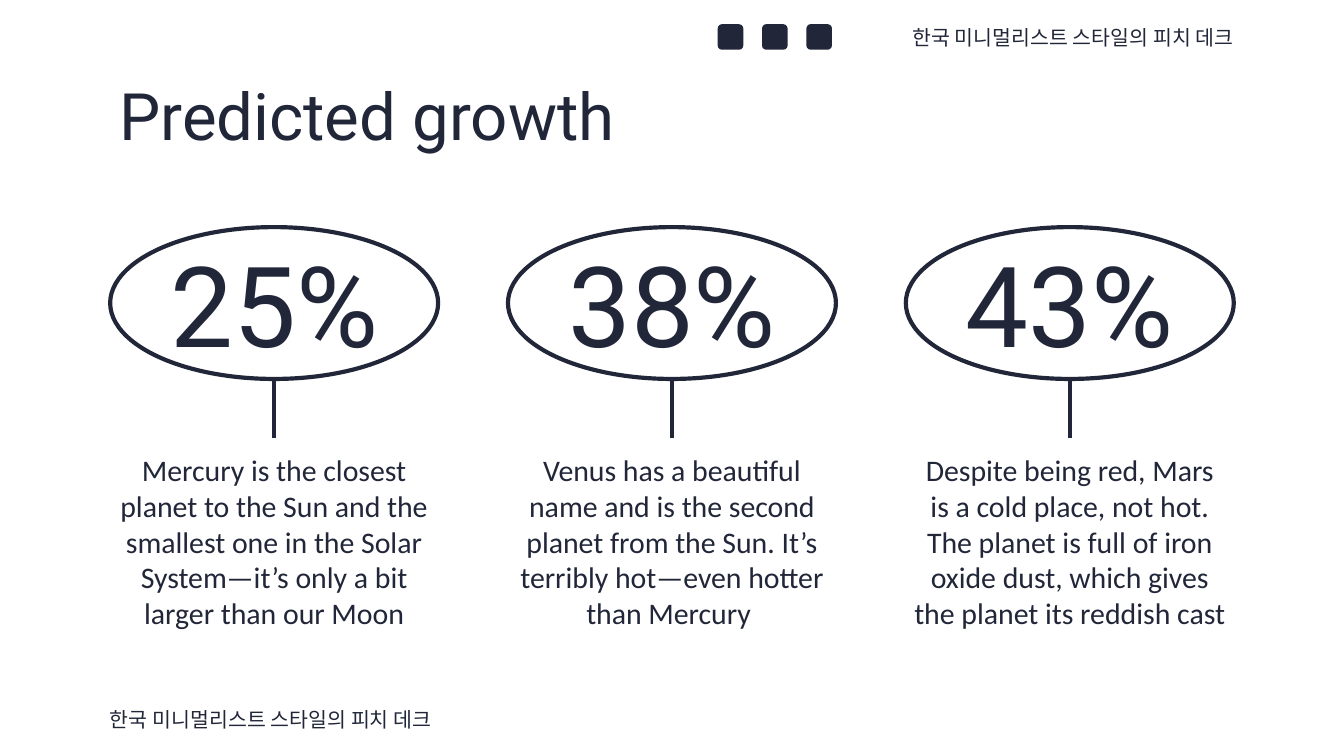
import pptx
import pptx.dml.color
import pptx.enum.shapes
import pptx.enum.text
import pptx.oxml
import pptx.oxml.ns
import pptx.util
from pptx.util import Inches

ALIGN = pptx.enum.text.PP_ALIGN
ANCHOR = pptx.enum.text.MSO_ANCHOR
SHAPE = pptx.enum.shapes.MSO_SHAPE

HEADING = "Predicted growth"
DECK_NAME = "한국 미니멀리스트 스타일의 피치 데크"
GROWTH = [
    ("25%", "Mercury is the closest planet to the Sun and the smallest one in "
            "the Solar System—it’s only a bit larger than our Moon"),
    ("38%", "Venus has a beautiful name and is the second planet from the Sun. "
            "It’s terribly hot—even hotter than Mercury "),
    ("43%", "Despite being red, Mars is a cold place, not hot. The planet is "
            "full of iron oxide dust, which gives the planet its reddish cast"),
]

THEME = {
    "ink": pptx.dml.color.RGBColor.from_string("212739"),
    "paper": pptx.dml.color.RGBColor.from_string("FFFFFF"),
    "line": pptx.util.Pt(2.25),
    "heading": {"name": "Roboto", "size": pptx.util.Pt(35)},
    "figure": {"name": "Roboto", "size": pptx.util.Pt(60)},
    "body": {"name": "Calibri", "size": pptx.util.Pt(16)},
    "label": {"name": "League Spartan", "size": pptx.util.Pt(11)},
}
FRAME = {
    "word_wrap": True,
    "margin_left": Inches(0.1),
    "margin_right": Inches(0.1),
    "margin_top": Inches(0.1),
    "margin_bottom": Inches(0.1),
}

SLIDE_W = 10
SLIDE_H = SLIDE_W * 9 / 16
COLUMN_PITCH = 2.96
OVAL_TOP, OVAL_W, OVAL_H = 1.69, 2.44, 1.13
FIGURE_W, FIGURE_H = 2.29, 1
BODY_TOP, BODY_W, BODY_H = 3.26, 2.52, 1.49
LABEL_W, LABEL_H = 2.93, 0.32
BADGE_LEFT, BADGE_TOP, BADGE_SIZE, BADGE_PITCH = 5.34, 0.18, 0.19, 0.33
BADGE_COUNT = 3


def add_text(slide, text, box, style, align=ALIGN.LEFT, anchor=ANCHOR.MIDDLE):
    frame = slide.shapes.add_textbox(*map(Inches, box)).text_frame
    for attribute, value in FRAME.items():
        setattr(frame, attribute, value)
    frame.vertical_anchor = anchor
    paragraph = frame.paragraphs[0]
    paragraph.text = text
    paragraph.alignment = align
    font = paragraph.runs[0].font
    for attribute, value in THEME[style].items():
        setattr(font, attribute, value)
    font.color.rgb = THEME["ink"]


def draw_outline(shape):
    shape.line.color.rgb = THEME["ink"]
    shape.line.width = THEME["line"]


def add_stem(slide, x, top, bottom):
    stem = slide.shapes.add_connector(
        pptx.enum.shapes.MSO_CONNECTOR.STRAIGHT,
        Inches(x), Inches(top), Inches(x), Inches(bottom))
    draw_outline(stem)
    properties = stem._element.spPr
    properties.append(pptx.oxml.parse_xml(
        f"<a:effectLst {pptx.oxml.ns.nsdecls('a')}/>"))


def add_growth_column(slide, center, figure, body):
    oval = slide.shapes.add_shape(
        SHAPE.OVAL, Inches(center - OVAL_W / 2), Inches(OVAL_TOP),
        Inches(OVAL_W), Inches(OVAL_H))
    oval.shadow.inherit = False
    oval.fill.background()
    draw_outline(oval)
    figure_top = OVAL_TOP + (OVAL_H - FIGURE_H) / 2
    add_text(slide, figure,
             (center - FIGURE_W / 2, figure_top, FIGURE_W, FIGURE_H),
             "figure", ALIGN.CENTER)
    add_text(slide, body, (center - BODY_W / 2, BODY_TOP, BODY_W, BODY_H),
             "body", ALIGN.CENTER, ANCHOR.TOP)
    add_stem(slide, center, OVAL_TOP + OVAL_H, BODY_TOP)


def add_badge(slide, left):
    """Draw a plain rounded square where a social icon would sit."""
    badge = slide.shapes.add_shape(
        SHAPE.ROUNDED_RECTANGLE, Inches(left), Inches(BADGE_TOP),
        Inches(BADGE_SIZE), Inches(BADGE_SIZE))
    badge.shadow.inherit = False
    badge.fill.solid()
    badge.fill.fore_color.rgb = THEME["ink"]
    badge.line.fill.background()


def main():
    deck = pptx.Presentation()
    deck.slide_width, deck.slide_height = Inches(SLIDE_W), Inches(SLIDE_H)
    slide = deck.slides.add_slide(deck.slide_layouts[6])
    slide.background.fill.solid()
    slide.background.fill.fore_color.rgb = THEME["paper"]

    add_text(slide, HEADING, (0.79, 0.59, 8.43, 0.52), "heading")
    add_text(slide, DECK_NAME, (6.35, 0.12, LABEL_W, LABEL_H), "label",
             ALIGN.RIGHT)
    add_text(slide, DECK_NAME, (0.72, 5.19, LABEL_W, LABEL_H), "label")
    for index in range(BADGE_COUNT):
        add_badge(slide, BADGE_LEFT + index * BADGE_PITCH)

    middle = (len(GROWTH) - 1) / 2
    for index, (figure, body) in enumerate(GROWTH):
        center = SLIDE_W / 2 + (index - middle) * COLUMN_PITCH
        add_growth_column(slide, center, figure, body)

    deck.save("out.pptx")


if __name__ == "__main__":
    main()
